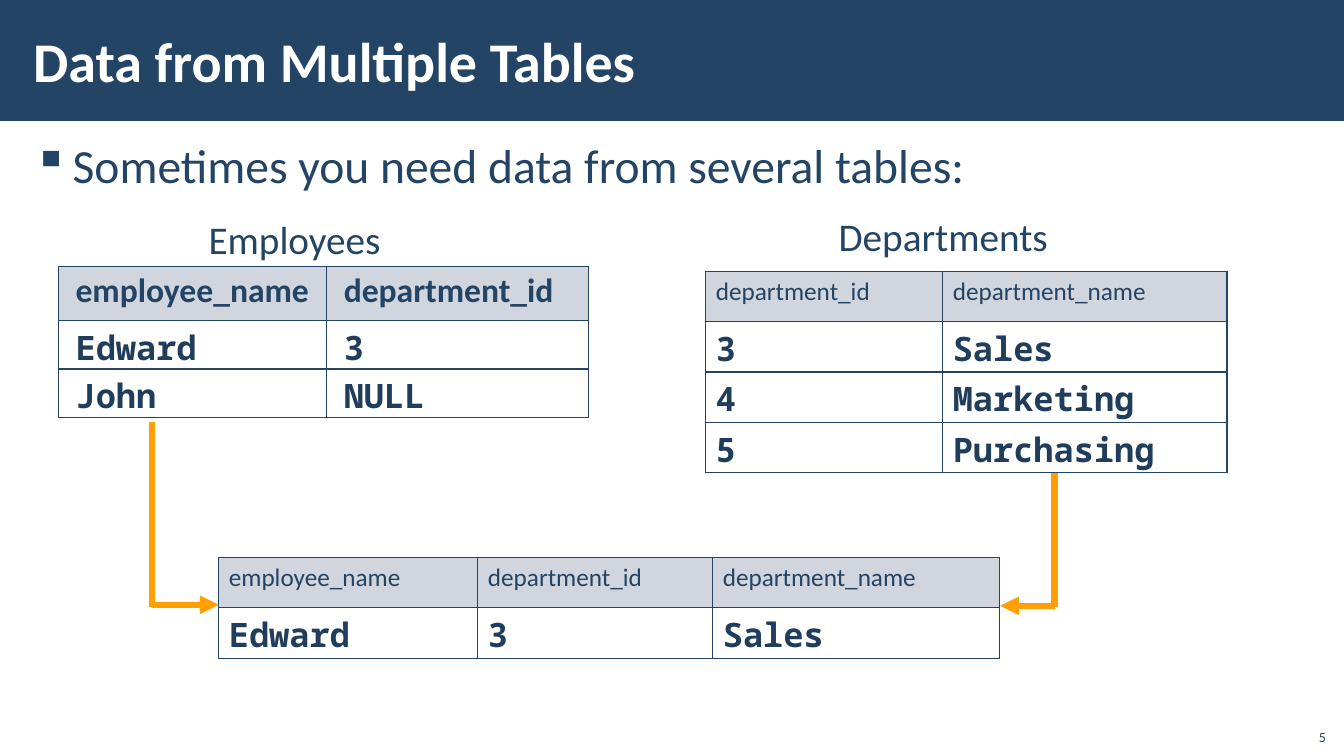
"""Build the slide "Data from Multiple Tables"."""
import lxml.etree
import pptx
import pptx.dml.color
import pptx.enum.shapes
import pptx.enum.text
import pptx.oxml.ns
import pptx.util

Inches = pptx.util.Inches
Pt = pptx.util.Pt
qn = pptx.oxml.ns.qn
Anchor = pptx.enum.text.MSO_ANCHOR
Align = pptx.enum.text.PP_ALIGN
STRAIGHT = pptx.enum.shapes.MSO_CONNECTOR.STRAIGHT

THEME = {
    "navy": "234465", "ink": "203D5B", "white": "FFFFFF",
    "header": "D1D5DD", "arrow": "FFA000",
    "text_font": "Calibri", "data_font": "Noto Sans Mono",
    "title": 40, "body": 34, "label": 28, "data": 24, "header_size": 18, "number": 10,
}


def style(paragraph, size, color="navy", font="text_font", bold=False):
    paragraph.font.size = Pt(THEME[size])
    paragraph.font.name = THEME[font]
    paragraph.font.bold = bold
    paragraph.font.color.rgb = pptx.dml.color.RGBColor.from_string(THEME[color])


def add_text(text, box, size, color="navy", bold=False, anchor=Anchor.TOP,
             align=Align.LEFT, margins=(0.1, 0.05), wrap=True):
    shape = slide.shapes.add_textbox(*map(Inches, box))
    frame = shape.text_frame
    frame.word_wrap = wrap
    frame.vertical_anchor = anchor
    frame.margin_left = frame.margin_right = Inches(margins[0])
    frame.margin_top = frame.margin_bottom = Inches(margins[1])
    paragraph = frame.paragraphs[0]
    paragraph.text = text
    paragraph.alignment = align
    style(paragraph, size, color, bold=bold)
    return paragraph


presentation = pptx.Presentation()
presentation.slide_width = Inches(13.33)
presentation.slide_height = Inches(7.5)
slide = presentation.slides.add_slide(presentation.slide_layouts[6])

banner = slide.shapes.add_shape(
    pptx.enum.shapes.MSO_SHAPE.RECTANGLE, 0, 0, presentation.slide_width, Inches(1.2))
banner.shadow.inherit = False
banner.fill.solid()
banner.fill.fore_color.rgb = pptx.dml.color.RGBColor.from_string(THEME["navy"])
banner.line.fill.background()

arrow_segments = [
    ((10.46, 4.69), (10.46, 6.02), False),
    ((10.46, 6.01), (9.92, 6.01), True),
    ((1.51, 4.19), (1.51, 6.02), False),
    ((1.51, 6), (2.17, 6), True),
]
for start, end, has_head in arrow_segments:
    connector = slide.shapes.add_connector(STRAIGHT, *map(Inches, start + end))
    connector.line.width = Pt(4.5)
    connector.line.color.rgb = pptx.dml.color.RGBColor.from_string(THEME["arrow"])
    if has_head:
        line = connector.line._get_or_add_ln()
        lxml.etree.SubElement(line, qn("a:tailEnd"), type="triangle")
    lxml.etree.SubElement(connector._element.spPr, qn("a:effectLst"))

add_text("Data from Multiple Tables", (0.21, 0.11, 10.63, 0.97), "title", "white",
         bold=True, anchor=Anchor.MIDDLE, margins=(0.12, 0.04))

bullet = add_text("Sometimes you need data from several tables:",
                  (0.21, 1.31, 12.92, 6.05), "body", margins=(0.12, 0.04))
bullet.space_before = bullet.space_after = Pt(6)
properties = bullet._p.get_or_add_pPr()
properties.set("marL", str(Inches(0.39)))
properties.set("indent", str(-Inches(0.39)))
mark = lxml.etree.Element(qn("a:buChar"), char="▪")
properties.find(qn("a:defRPr")).addprevious(mark)

add_text("Employees", (1.97, 2.09, 1.92, 0.57), "label", wrap=False)
add_text("Departments", (8.22, 2.06, 2.3, 0.57), "label", wrap=False)

tables = [
    {"at": (7, 2.69), "columns": (2.35, 2.82), "heights": (0.5, 0.5, 0.5, 0.5),
     "margin": 0.1, "bold_header": False,
     "rows": [("department_id", "department_name"),
              ("3", "Sales"), ("4", "Marketing"), ("5", "Purchasing")]},
    {"at": (2.17, 5.53), "columns": (2.57, 2.33, 2.84), "heights": (0.5, 0.5),
     "margin": 0.1, "bold_header": False,
     "rows": [("employee_name", "department_id", "department_name"),
              ("Edward", "3", "Sales")]},
    {"at": (0.58, 2.64), "columns": (2.66, 2.6), "heights": (0.54, 0.48, 0.48),
     "margin": 0.17, "bold_header": True,
     "rows": [("employee_name", "department_id"), ("Edward", "3"), ("John", "NULL")]},
]
for content in tables:
    columns, heights = content["columns"], content["heights"]
    size = (sum(columns), sum(heights))
    table = slide.shapes.add_table(
        len(heights), len(columns), *map(Inches, content["at"] + size)).table
    table.first_row = table.horz_banding = False
    for column, width in zip(table.columns, columns):
        column.width = Inches(width)
    for row_index, (row, height) in enumerate(zip(table.rows, heights)):
        row.height = Inches(height)
        is_header = row_index == 0
        for cell, text in zip(row.cells, content["rows"][row_index]):
            cell.margin_left = cell.margin_right = Inches(content["margin"])
            cell_properties = cell._tc.get_or_add_tcPr()
            for side in ("lnL", "lnR", "lnT", "lnB"):
                border = lxml.etree.SubElement(
                    cell_properties, qn("a:" + side), w=str(Pt(1)))
                fill = lxml.etree.SubElement(border, qn("a:solidFill"))
                lxml.etree.SubElement(fill, qn("a:srgbClr"), val=THEME["navy"])
            if is_header:
                cell.fill.solid()
                cell.fill.fore_color.rgb = pptx.dml.color.RGBColor.from_string(
                    THEME["header"])
            else:
                cell.fill.background()
            paragraph = cell.text_frame.paragraphs[0]
            paragraph.text = text
            if content["bold_header"] or not is_header:
                paragraph.line_spacing = 0.95
                spacing = lxml.etree.SubElement(
                    paragraph._p.get_or_add_pPr(), qn("a:spcBef"))
                lxml.etree.SubElement(spacing, qn("a:spcPct"), val="40000")
            if not is_header:
                style(paragraph, "data", "ink", "data_font", bold=True)
            elif content["bold_header"]:
                style(paragraph, "data", bold=True)
            else:
                style(paragraph, "header_size")

add_text("5", (12.85, 7.12, 0.4, 0.32), "number", anchor=Anchor.BOTTOM, align=Align.RIGHT)

presentation.save("out.pptx")
